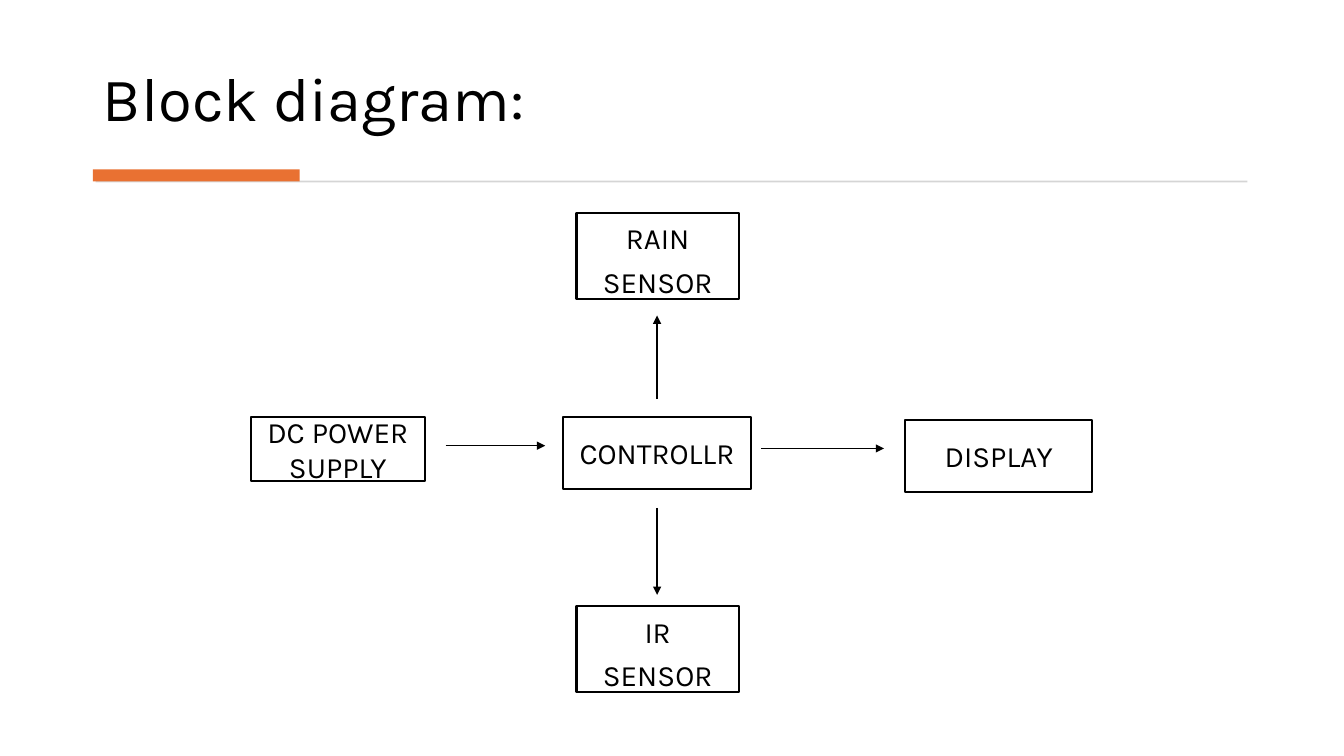
from dataclasses import dataclass

from lxml.etree import SubElement
from pptx import Presentation
from pptx.dml.color import RGBColor
from pptx.enum.shapes import MSO_CONNECTOR as Connector, MSO_SHAPE as Preset
from pptx.enum.text import MSO_ANCHOR as Anchor, MSO_AUTO_SIZE as AutoSize, PP_ALIGN as Align
from pptx.oxml.ns import qn
from pptx.util import Cm, Pt


@dataclass(frozen=True)
class Theme:
    ink: RGBColor = RGBColor(0x00, 0x00, 0x00)
    paper: RGBColor = RGBColor(0xFF, 0xFF, 0xFF)
    rule: RGBColor = RGBColor(0xD5, 0xD5, 0xD5)
    accent: RGBColor = RGBColor(0xE9, 0x71, 0x32)
    font: str = "Karla"
    title_size: Pt = Pt(44)
    block_size: Pt = Pt(21.1)
    block_border: Pt = Pt(1.5)
    arrow_width: Pt = Pt(1)


THEME = Theme()
BLOCK_FRAME = {"word_wrap": True, "vertical_anchor": Anchor.MIDDLE,
               "margin_top": Cm(0.13), "margin_bottom": Cm(0.13)}
SENSOR_FRAME = BLOCK_FRAME | {"margin_top": Cm(0.2), "margin_bottom": Cm(0)}
TITLE_FRAME = {"word_wrap": True, "vertical_anchor": Anchor.BOTTOM,
               "auto_size": AutoSize.NONE}
BLOCK_PARAGRAPH = {"alignment": Align.CENTER, "space_after": Pt(6)}
TITLE_PARAGRAPH = {"alignment": Align.LEFT, "line_spacing": 0.9}

CONTROLLER_AXIS = 16.56
SENSOR_SIZE = (4.09, 2.18)
UNIT_SIZE = (4.72, 1.8)
BLOCKS = [
    (["DC POWER SUPPLY"], (6.32, 10.52), (4.39, 1.6), BLOCK_FRAME),
    (["CONTROLLR"], (14.2, 10.52), UNIT_SIZE, BLOCK_FRAME),
    (["DISPLAY"], (22.81, 10.59), UNIT_SIZE, BLOCK_FRAME),
    (["RAIN", "SENSOR"], (14.53, 5.36), SENSOR_SIZE, SENSOR_FRAME),
    (["IR", "SENSOR"], (14.53, 15.27), SENSOR_SIZE, SENSOR_FRAME),
]
ARROWS = [
    ((11.23, 11.23), (13.74, 11.23)),
    ((19.18, 11.3), (22.28, 11.3)),
    ((CONTROLLER_AXIS, 10.06), (CONTROLLER_AXIS, 7.95)),
    ((CONTROLLER_AXIS, 12.8), (CONTROLLER_AXIS, 14.99)),
]


def apply_format(target, values):
    for name, value in values.items():
        setattr(target, name, value)


def lengths(*values):
    return [Cm(value) for value in values]


def write_lines(frame, lines, size, paragraph_format):
    frame.text = "\n".join(lines)
    for paragraph in frame.paragraphs:
        apply_format(paragraph, paragraph_format)
        for run in paragraph.runs:
            apply_format(run.font, {"name": THEME.font, "size": size})
            run.font.color.rgb = THEME.ink


def place_title(slide, wording):
    heading = slide.shapes.title
    edges = lengths(2.34, 0.71, 29.18, 2.82)
    apply_format(heading, dict(zip(("left", "top", "width", "height"), edges)))
    apply_format(heading.text_frame, TITLE_FRAME)
    write_lines(heading.text_frame, [wording], THEME.title_size, TITLE_PARAGRAPH)


def add_bar(slide, corner, size, colour):
    bar = slide.shapes.add_shape(Preset.RECTANGLE, *lengths(*corner, *size))
    bar.shadow.inherit = False
    bar.fill.solid()
    bar.fill.fore_color.rgb = colour
    bar.line.fill.background()
    return bar


def add_block(slide, lines, corner, size, frame_format):
    block = add_bar(slide, corner, size, THEME.paper)
    block.line.color.rgb = THEME.ink
    block.line.width = THEME.block_border
    apply_format(block.text_frame, frame_format)
    write_lines(block.text_frame, lines, THEME.block_size, BLOCK_PARAGRAPH)


def add_arrow(slide, start, end):
    arrow = slide.shapes.add_connector(Connector.STRAIGHT, *lengths(*start, *end))
    arrow.line.color.rgb = THEME.ink
    arrow.line.width = THEME.arrow_width
    properties = arrow.line._get_or_add_ln()
    SubElement(properties, qn("a:tailEnd"), type="triangle")
    SubElement(properties.getparent(), qn("a:effectLst"))


def main():
    deck = Presentation()
    apply_format(deck, {"slide_width": Cm(33.87), "slide_height": Cm(19.05)})
    slide = deck.slides.add_slide(deck.slide_layouts[5])
    place_title(slide, "Block diagram:")
    add_bar(slide, (2.41, 4.55), (29.03, 0.05), THEME.rule)
    add_bar(slide, (2.34, 4.27), (5.21, 0.3), THEME.accent)
    for block in BLOCKS:
        add_block(slide, *block)
    for start, end in ARROWS:
        add_arrow(slide, start, end)
    deck.save("out.pptx")


if __name__ == "__main__":
    main()
